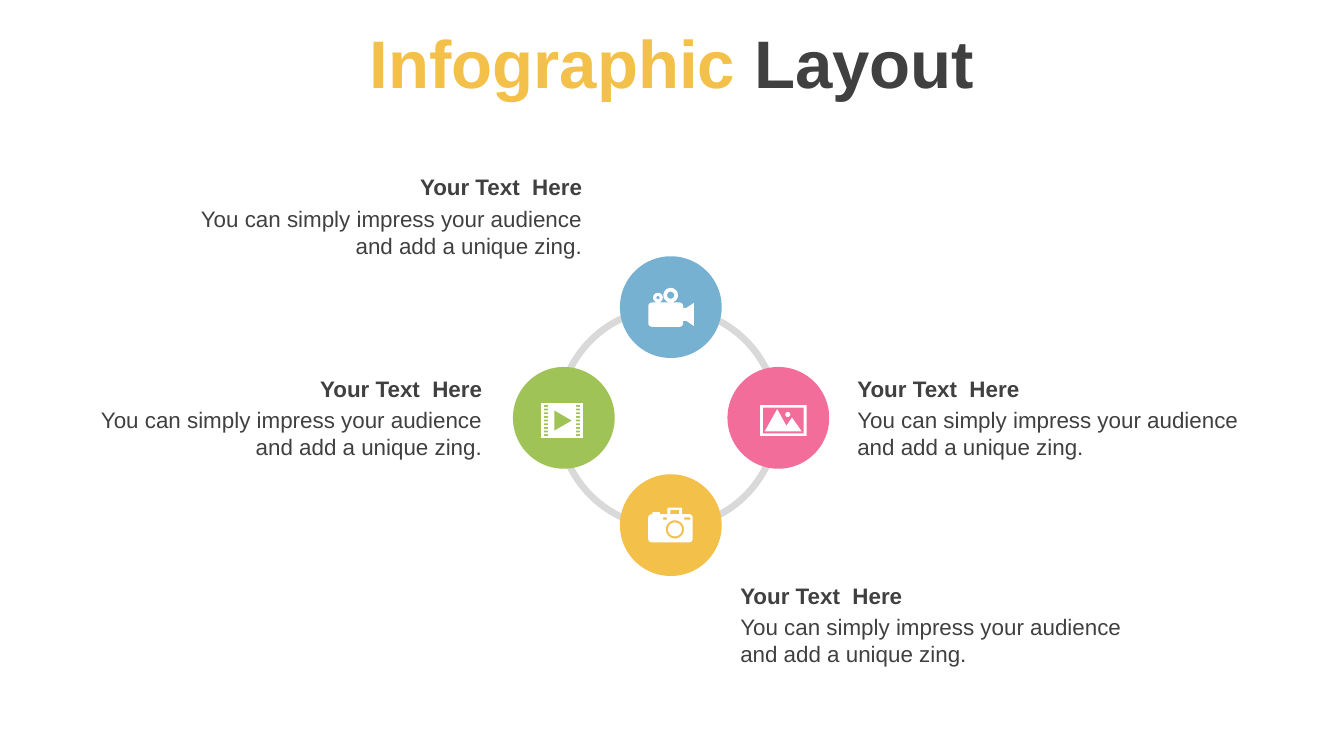
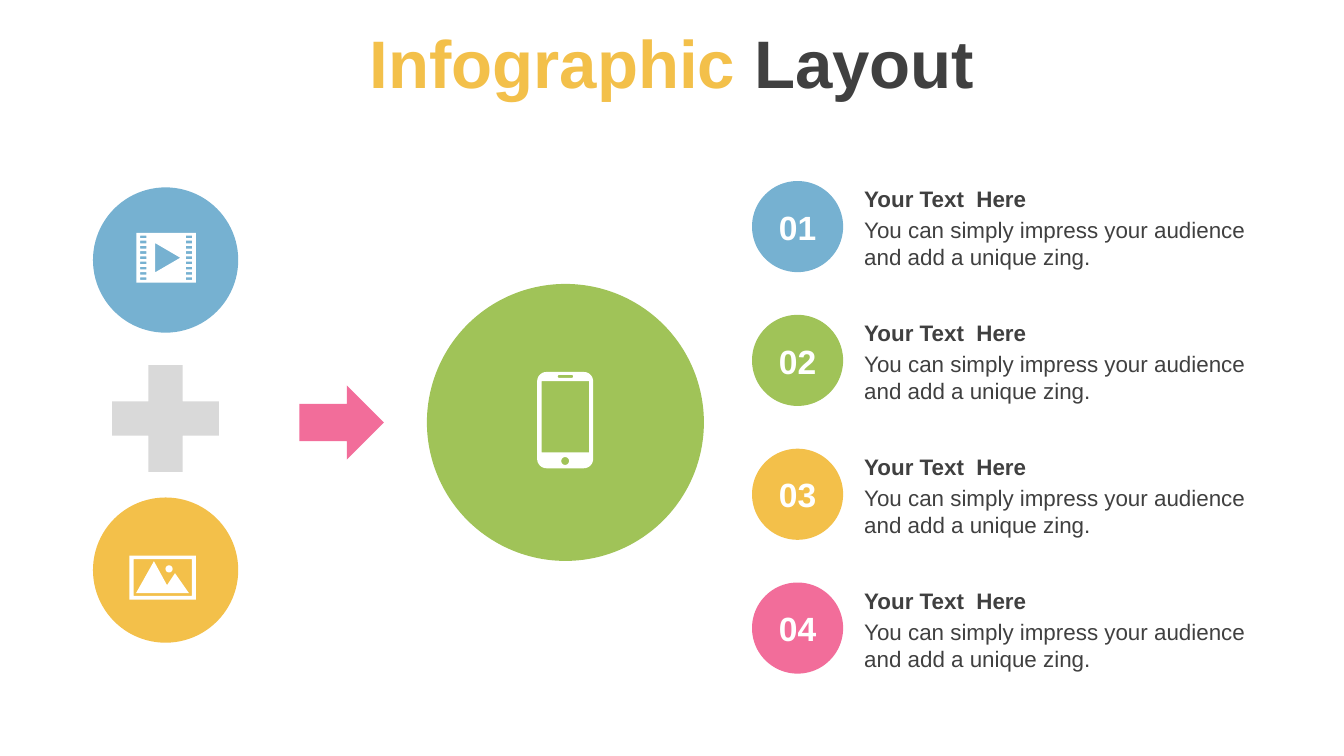
from math import cos, pi, sin

from pptx import Presentation
from pptx.dml.color import RGBColor
from pptx.enum.shapes import MSO_SHAPE
from pptx.enum.text import MSO_ANCHOR, MSO_AUTO_SIZE, PP_ALIGN
from pptx.util import Pt

OVAL, DONUT = MSO_SHAPE.OVAL, MSO_SHAPE.DONUT
PLUS, ARROW = MSO_SHAPE.MATH_PLUS, MSO_SHAPE.RIGHT_ARROW
LEFT, CENTER, RIGHT = PP_ALIGN.LEFT, PP_ALIGN.CENTER, PP_ALIGN.RIGHT
TOP, MIDDLE = MSO_ANCHOR.TOP, MSO_ANCHOR.MIDDLE
GROW, FIXED = MSO_AUTO_SIZE.SHAPE_TO_FIT_TEXT, MSO_AUTO_SIZE.NONE

FONT = "Arial"
BLUE, GREEN, YELLOW, PINK = "76B1D1", "A0C358", "F3C04A", "F26D9A"
DARK, GRAY, WHITE = "404040", "D9D9D9", "FFFFFF"
HEADING = "Your Text  Here"
BODY = "You can simply impress your audience and add a unique zing."


def color(target, value):
    target.rgb = RGBColor.from_string(value)


def finish(shape, fill):
    shape.shadow.inherit = False
    shape.fill.solid()
    color(shape.fill.fore_color, fill)
    shape.line.fill.background()
    return shape


def add_preset(slide, kind, left, top, width, height, fill):
    shape = slide.shapes.add_shape(kind, Pt(left), Pt(top), Pt(width), Pt(height))
    return finish(shape, fill)


def add_circle(slide, left, top, size, fill):
    return add_preset(slide, OVAL, left, top, size, size, fill)


def add_text(shapes, left, top, width, height, runs, size, bold=False,
             align=LEFT, anchor=TOP, fit=GROW):
    box = shapes.add_textbox(Pt(left), Pt(top), Pt(width), Pt(height))
    frame = box.text_frame
    frame.word_wrap = True
    frame.auto_size = fit
    frame.vertical_anchor = anchor
    paragraph = frame.paragraphs[0]
    paragraph.alignment = align
    for text, fill in runs:
        run = paragraph.add_run()
        run.text = text
        run.font.name = FONT
        run.font.size = Pt(size)
        run.font.bold = bold
        color(run.font.color, fill)


def add_title(slide):
    runs = [("Infographic ", YELLOW), ("Layout", DARK)]
    add_text(slide.shapes, 0, 2.2, 720, 61.2, runs, 36, True, CENTER, MIDDLE, FIXED)


def add_caption(slide, left, top, align=LEFT):
    shapes = slide.shapes.add_group_shape().shapes
    add_text(shapes, left, top + 16.7, 223.2, 36, [(BODY, DARK)], 12, align=align)
    add_text(shapes, left, top, 223.2, 21.6, [(HEADING, DARK)], 12, True, align)


def box(left, top, right, bottom):
    return [(left, top), (right, top), (right, bottom), (left, bottom)]


def rounded(left, top, right, bottom, radius, steps=8):
    centers = box(left + radius, top + radius, right - radius, bottom - radius)
    points = []
    for corner, (x, y) in enumerate(centers):
        for step in range(steps + 1):
            angle = pi + (corner + step / steps) * pi / 2
            points.append((x + radius * cos(angle), y + radius * sin(angle)))
    return points


def disc(x, y, radius):
    return rounded(x - radius, y - radius, x + radius, y + radius, radius)


def film_icon():
    holes = [box(left, 1.4 + 2.8 * row, left + 3.3, 2.8 + 2.8 * row)
             for row in range(9) for left in (2.1, 26.6)]
    play = [(10.2, 5.5), (10.2, 21.1), (23.6, 13.3)]
    return [box(0, 0, 32, 26.6), play] + holes


def picture_icon():
    mountains = [(13.1, 3), (20.1, 15.8), (24.4, 9.4), (31.9, 20.1), (3.5, 20.1)]
    return [box(0, 0, 35.6, 23.5), box(2.2, 1.9, 33.4, 21.6),
            mountains, disc(21.2, 7.1, 1.9)]


def phone_icon():
    return [rounded(0, 0, 30, 51.6, 5), box(2.4, 4.9, 27.9, 43.1),
            rounded(11, 1.6, 19.3, 3.2, 0.8), disc(15, 47.7, 2.1)]


def movie_camera_icon():
    lens = [(18.7, 10.7), (20.4, 10.7), (24.4, 8), (24.4, 20.4),
            (20.4, 17.6), (18.7, 17.6)]
    return [rounded(0, 7.8, 18.7, 20.8, 2), lens,
            disc(12, 3.9, 3.9), disc(12, 3.9, 1.9),
            disc(5.2, 5.2, 2.6), disc(5.2, 5.2, 0.9)]


def photo_camera_icon():
    handle = [(10.2, 3.5), (10.2, 0.5), (10.7, 0), (17.7, 0), (18.2, 0.5), (18.2, 3.5),
              (16.6, 3.5), (16.6, 1.2), (11.8, 1.2), (11.8, 3.5)]
    return [rounded(0, 3.5, 23.8, 18.5, 1.8), handle, box(2.2, 2.3, 6.2, 3.5),
            box(8, 5.1, 10, 6.4), box(19.2, 5.1, 22.5, 6.4),
            disc(14.3, 11.6, 4.9), disc(14.3, 11.6, 3.7)]


def add_icon(slide, outlines, left, top, scale=1):
    placed = [[(Pt(left + scale * x), Pt(top + scale * y)) for x, y in outline]
              for outline in outlines]
    builder = slide.shapes.build_freeform(*placed[0][0])
    for index, points in enumerate(placed):
        if index:
            builder.move_to(*points[0])
        builder.add_line_segments(points[1:], close=True)
    finish(builder.convert_to_shape(), WHITE)


def build_ring_slide(slide):
    ring = add_preset(slide, DONUT, 297.4, 163.4, 121, 121, GRAY)
    ring.adjustments[0] = 0.03
    add_title(slide)
    for left, top, fill in [(332.1, 137.3, BLUE), (332.1, 254.1, YELLOW),
                            (274.8, 196.6, GREEN), (389.7, 196.6, PINK)]:
        add_circle(slide, left, top, 54.5, fill)
    for left, top, align in [(452.2, 197.2, LEFT), (42.3, 197.2, RIGHT),
                             (95.8, 89.5, RIGHT), (389.5, 308.4, LEFT)]:
        add_caption(slide, left, top, align)
    add_icon(slide, photo_camera_icon(), 347.3, 272)
    add_icon(slide, movie_camera_icon(), 347.3, 154.3)
    add_icon(slide, film_icon(), 289.9, 216, 0.7)
    add_icon(slide, picture_icon(), 407.2, 217.1, 0.7)


def build_sum_slide(slide):
    add_title(slide)
    add_circle(slide, 49.8, 100.4, 77.8, BLUE)
    add_circle(slide, 49.8, 266.5, 77.8, YELLOW)
    add_circle(slide, 228.7, 152.1, 148.4, GREEN)
    add_preset(slide, PLUS, 49.8, 185.3, 77.8, 77.8, GRAY)
    add_preset(slide, ARROW, 160.4, 206.5, 45.3, 39.7, PINK)
    add_icon(slide, film_icon(), 73, 124.8)
    add_icon(slide, picture_icon(), 69.4, 297.7)
    add_icon(slide, phone_icon(), 287.8, 199.3)
    for row, fill in enumerate([BLUE, GREEN, YELLOW, PINK]):
        top = 97 + 71.7 * row
        add_circle(slide, 402.9, top, 48.8, fill)
        add_text(slide.shapes, 409.7, top + 10, 35.2, 29, [(f"{row + 1:02}", WHITE)],
                 18, True, CENTER, MIDDLE)
        add_caption(slide, 455.9, top - 1.2)


def main():
    presentation = Presentation()
    presentation.slide_width, presentation.slide_height = Pt(720), Pt(405)
    blank = presentation.slide_layouts[6]
    for build in (build_ring_slide, build_sum_slide):
        build(presentation.slides.add_slide(blank))
    presentation.save("out.pptx")


if __name__ == "__main__":
    main()
